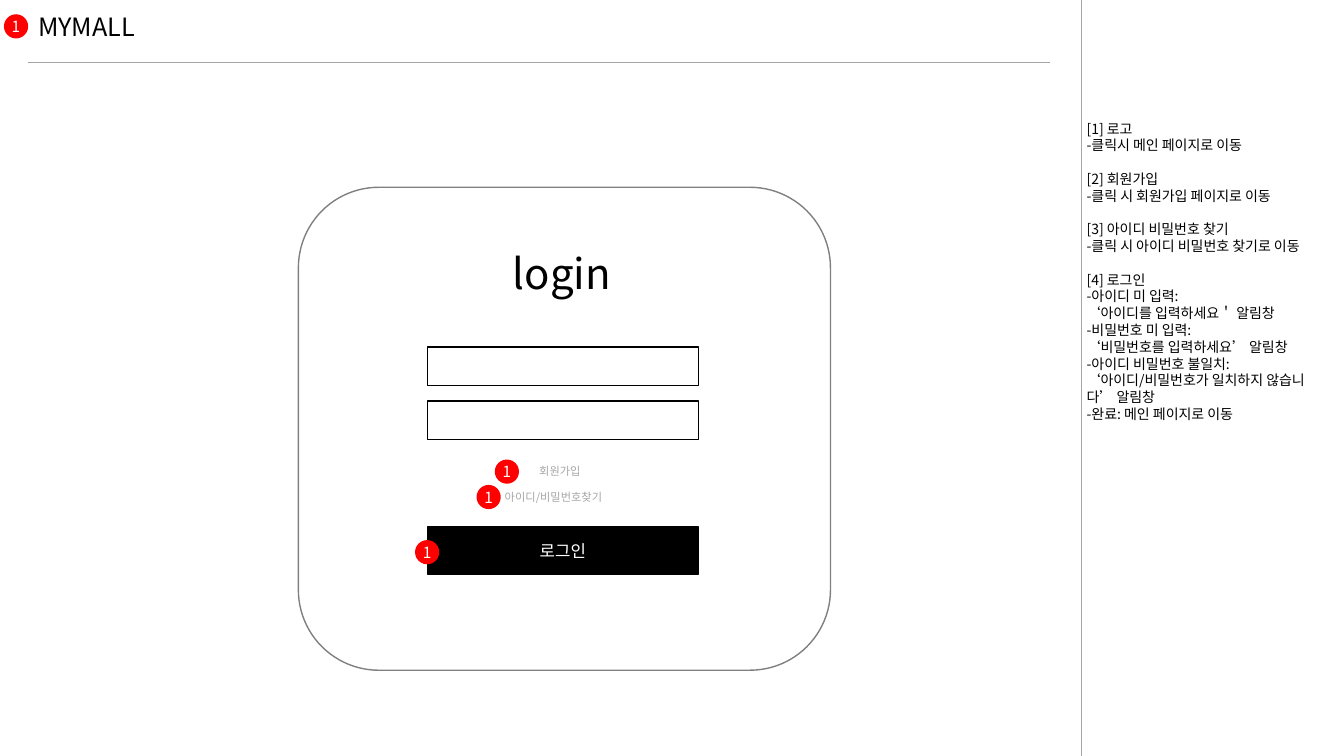
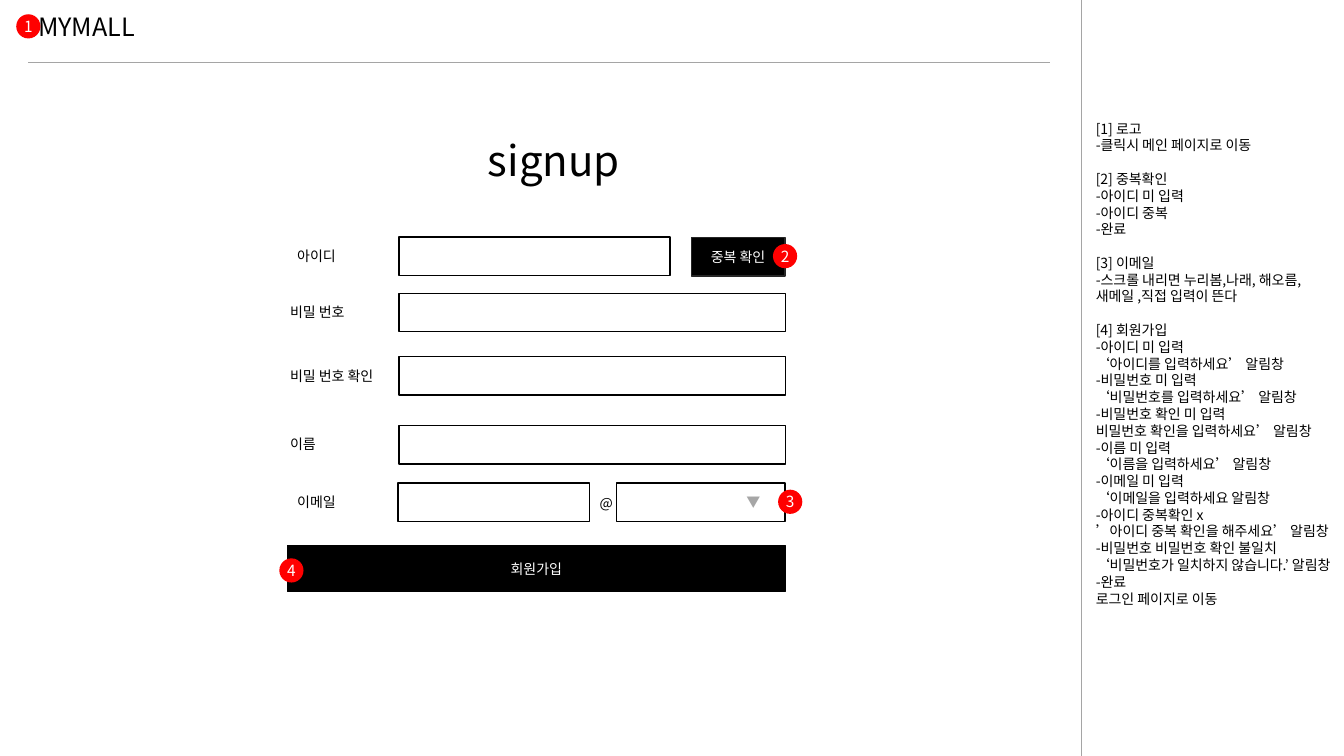
"""Build the login and signup wireframe slides."""
from lxml.etree import SubElement
from pptx import Presentation
from pptx.dml.color import RGBColor
from pptx.enum.shapes import MSO_CONNECTOR as Connector, MSO_SHAPE as Shape
from pptx.enum.text import MSO_ANCHOR as Anchor, MSO_AUTO_SIZE as AutoSize, PP_ALIGN as Align
from pptx.oxml.ns import qn
from pptx.util import Cm, Pt

FONT = "Noto Sans CJK KR"
BLACK, WHITE, RED = "000000", "FFFFFF", "FF0000"
RULE_GREY, TEXT_GREY, CARD_GREY, EDGE_GREY = "A5A5A5", "A6A6A6", "808080", "262626"
SLIDE_WIDTH, SLIDE_HEIGHT = 33.87, 19.05
DIVIDER_LEFT = 27.25
FIELD_HEIGHT, LABEL_HEIGHT, LABEL_DROP = 0.97, 0.69, 0.14
BADGE_SIZE = 0.61
LINE_RATIO = 1.2

LOGIN_NOTES = [
    ["[1] 로고", "-클릭시 메인 페이지로 이동"],
    ["[2] 회원가입", "-클릭 시 회원가입 페이지로 이동"],
    ["[3] 아이디 비밀번호 찾기", "-클릭 시 아이디 비밀번호 찾기로 이동"],
    ["[4] 로그인",
     "-아이디 미 입력:", "‘아이디를 입력하세요＇ 알림창",
     "-비밀번호 미 입력:", "‘비밀번호를 입력하세요’ 알림창",
     "-아이디 비밀번호 불일치:", "‘아이디/비밀번호가 일치하지 않습니다’ 알림창",
     "-완료: 메인 페이지로 이동"],
]
SIGNUP_NOTES = [
    ["[1] 로고", "-클릭시 메인 페이지로 이동"],
    ["[2] 중복확인", "-아이디 미 입력", "-아이디 중복", "-완료"],
    ["[3] 이메일", "-스크롤 내리면 누리봄,나래, 해오름, 새메일 ,직접 입력이 뜬다"],
    ["[4] 회원가입",
     "-아이디 미 입력", "‘아이디를 입력하세요’ 알림창",
     "-비밀번호 미 입력", "‘비밀번호를 입력하세요’ 알림창",
     "-비밀번호 확인 미 입력", "비밀번호 확인을 입력하세요’ 알림창",
     "-이름 미 입력", "‘이름을 입력하세요’ 알림창",
     "-이메일 미 입력", "‘이메일을 입력하세요 알림창",
     "-아이디 중복확인 x", "’아이디 중복 확인을 해주세요’ 알림창",
     "-비밀번호 비밀번호 확인 불일치", "‘비밀번호가 일치하지 않습니다.’ 알림창",
     "-완료", "로그인 페이지로 이동"],
]


def color(value):
    """Turn a hex string into a colour."""
    return RGBColor.from_string(value)


def apply_formats(target, formats):
    """Set every attribute named in a dict of format values."""
    for name, value in formats.items():
        setattr(target, name, value)


def write_text(frame, text, size, text_color=BLACK, align=Align.LEFT, **frame_formats):
    """Fill a text frame with evenly spaced, formatted paragraphs."""
    apply_formats(frame, {"word_wrap": True, "auto_size": AutoSize.NONE,
                          "vertical_anchor": Anchor.TOP, **frame_formats})
    frame.text = text
    for paragraph in frame.paragraphs:
        apply_formats(paragraph, {"alignment": align, "space_before": Pt(0),
                                  "line_spacing": Pt(size * LINE_RATIO)})
        for run in paragraph.runs:
            apply_formats(run.font, {"name": FONT, "size": Pt(size), "bold": False})
            run.font.color.rgb = color(text_color)
            SubElement(run._r.get_or_add_rPr(), qn("a:ea"), typeface=FONT)


def place(shape, box):
    """Move and size a shape to a box in centimetres."""
    apply_formats(shape, dict(zip(("left", "top", "width", "height"), map(Cm, box))))


def add_line(slide, start, end):
    """Add a thin grey line without a shadow."""
    line = slide.shapes.add_connector(Connector.STRAIGHT, *map(Cm, start + end))
    line.line.width = Pt(0.5)
    line.line.color.rgb = color(RULE_GREY)
    SubElement(line.element.spPr, qn("a:effectLst"))
    return line


def add_box(slide, box, kind=Shape.RECTANGLE, fill=None, edge=BLACK):
    """Add a preset shape with an optional fill and edge."""
    shape = slide.shapes.add_shape(kind, *map(Cm, box))
    shape.shadow.inherit = False
    if fill:
        shape.fill.solid()
        shape.fill.fore_color.rgb = color(fill)
    else:
        shape.fill.background()
    if edge:
        shape.line.color.rgb = color(edge)
        shape.line.width = Pt(1)
    else:
        shape.line.fill.background()
    return shape


def add_field(slide, left, top, width):
    """Add an empty input field."""
    return add_box(slide, (left, top, width, FIELD_HEIGHT))


def add_button(slide, box, text, size, edge=BLACK):
    """Add a black button with a centred caption."""
    button = add_box(slide, box, fill=BLACK, edge=edge)
    write_text(button.text_frame, text, size, WHITE, Align.CENTER,
               vertical_anchor=Anchor.MIDDLE)


def add_label(slide, box, text, size=10, text_color=BLACK):
    """Add a plain text box."""
    label = slide.shapes.add_textbox(*map(Cm, box))
    write_text(label.text_frame, text, size, text_color)


def add_badge(slide, left, top, number):
    """Add a red numbered circle."""
    badge = add_box(slide, (left, top, BADGE_SIZE, BADGE_SIZE), Shape.OVAL, RED, None)
    write_text(badge.text_frame, str(number), 11, WHITE, Align.CENTER, word_wrap=False,
               vertical_anchor=Anchor.MIDDLE, margin_left=0, margin_top=0,
               margin_right=0, margin_bottom=0)


def write_notes(body, box, sections):
    """Write the description sections without bullets, one line of space apart."""
    place(body, box)
    write_text(body.text_frame, "\n".join("\n".join(lines) for lines in sections), 10)
    headings = {lines[0] for lines in sections[1:]}
    for paragraph in body.text_frame.paragraphs:
        if paragraph.text in headings:
            paragraph.space_before = Pt(10 * LINE_RATIO)
        properties = paragraph._p.get_or_add_pPr()
        for name in ("marL", "indent"):
            properties.set(name, "0")
        SubElement(properties, qn("a:buNone"))


def add_page(presentation, title, title_box, notes, notes_box):
    """Add a slide with its header, title and description column."""
    slide = presentation.slides.add_slide(presentation.slide_layouts[1])
    heading, body = slide.placeholders
    place(heading, title_box)
    write_text(heading.text_frame, title, 30)
    write_notes(body, notes_box, notes)
    add_line(slide, (0.71, 1.58), (26.47, 1.58))
    add_label(slide, (0.71, 0.15, 4.9, 1.02), "MYMALL", 18)
    return slide


def add_layout_divider(slide):
    """Put the column divider on the layout that the slides share."""
    divider = add_line(slide, (DIVIDER_LEFT, 0), (DIVIDER_LEFT, SLIDE_HEIGHT))
    divider.element.nvCxnSpPr.cNvPr.set("id", "20")
    slide.slide_layout.element.cSld.spTree.append(divider.element)


def build_login(presentation):
    """Build the login page."""
    slide = add_page(presentation, "login", (12.67, 6.1, 12.34, 1.55),
                     LOGIN_NOTES, (27.13, 2.9, 6.5, 8.38))
    add_box(slide, (7.52, 4.72, 13.41, 12.17), Shape.ROUNDED_RECTANGLE, edge=CARD_GREY)
    for top in (8.74, 10.11):
        add_field(slide, 10.77, top, 6.83)
    add_button(slide, (10.77, 13.28, 6.83, 1.19), "로그인", 12)
    add_label(slide, (13.34, 11.58, 1.73, 0.61), "회원가입", 8, TEXT_GREY)
    add_label(slide, (12.47, 12.24, 3.51, 0.61), "아이디/비밀번호찾기", 8, TEXT_GREY)
    for left, top in ((12.47, 11.58), (12.01, 12.22), (10.46, 13.61), (0.1, 0.36)):
        add_badge(slide, left, top, 1)
    return slide


def build_signup(presentation):
    """Build the signup page."""
    slide = add_page(presentation, "signup", (12.04, 3.25, 6.93, 1.55),
                     SIGNUP_NOTES, (27.36, 2.9, 6.5, 13.08))
    rows = [
        ("아이디", 7.24, 10.06, 5.97, 6.83),
        ("비밀 번호", 7.06, 10.06, 7.39, 9.73),
        ("비밀 번호 확인", 7.06, 10.06, 8.99, 9.73),
        ("이름", 7.06, 10.06, 10.72, 9.73),
        ("이메일", 7.24, 10.03, 12.17, 4.83),
    ]
    for text, label_left, field_left, top, width in rows:
        add_field(slide, field_left, top, width)
        add_label(slide, (label_left, top + LABEL_DROP, 2.97, LABEL_HEIGHT), text)
    add_label(slide, (14.86, 12.34, 2.97, LABEL_HEIGHT), "@")
    domain = add_field(slide, 15.54, 12.17, 4.24)
    write_text(domain.text_frame, "▼", 10, TEXT_GREY, Align.RIGHT,
               vertical_anchor=Anchor.MIDDLE, margin_right=Cm(0.62))
    add_button(slide, (17.42, 5.99, 2.36, FIELD_HEIGHT), "중복 확인", 10, EDGE_GREY)
    add_button(slide, (7.24, 13.74, 12.55, 1.17), "회원가입", 10)
    badges = ((0.41, 0.36), (19.48, 6.15), (19.61, 12.34), (7.04, 14.07))
    for number, (left, top) in enumerate(badges, 1):
        add_badge(slide, left, top, number)


def main():
    """Build and save the presentation."""
    presentation = Presentation()
    apply_formats(presentation, {"slide_width": Cm(SLIDE_WIDTH),
                                 "slide_height": Cm(SLIDE_HEIGHT)})
    add_layout_divider(build_login(presentation))
    build_signup(presentation)
    presentation.save("out.pptx")


main()
